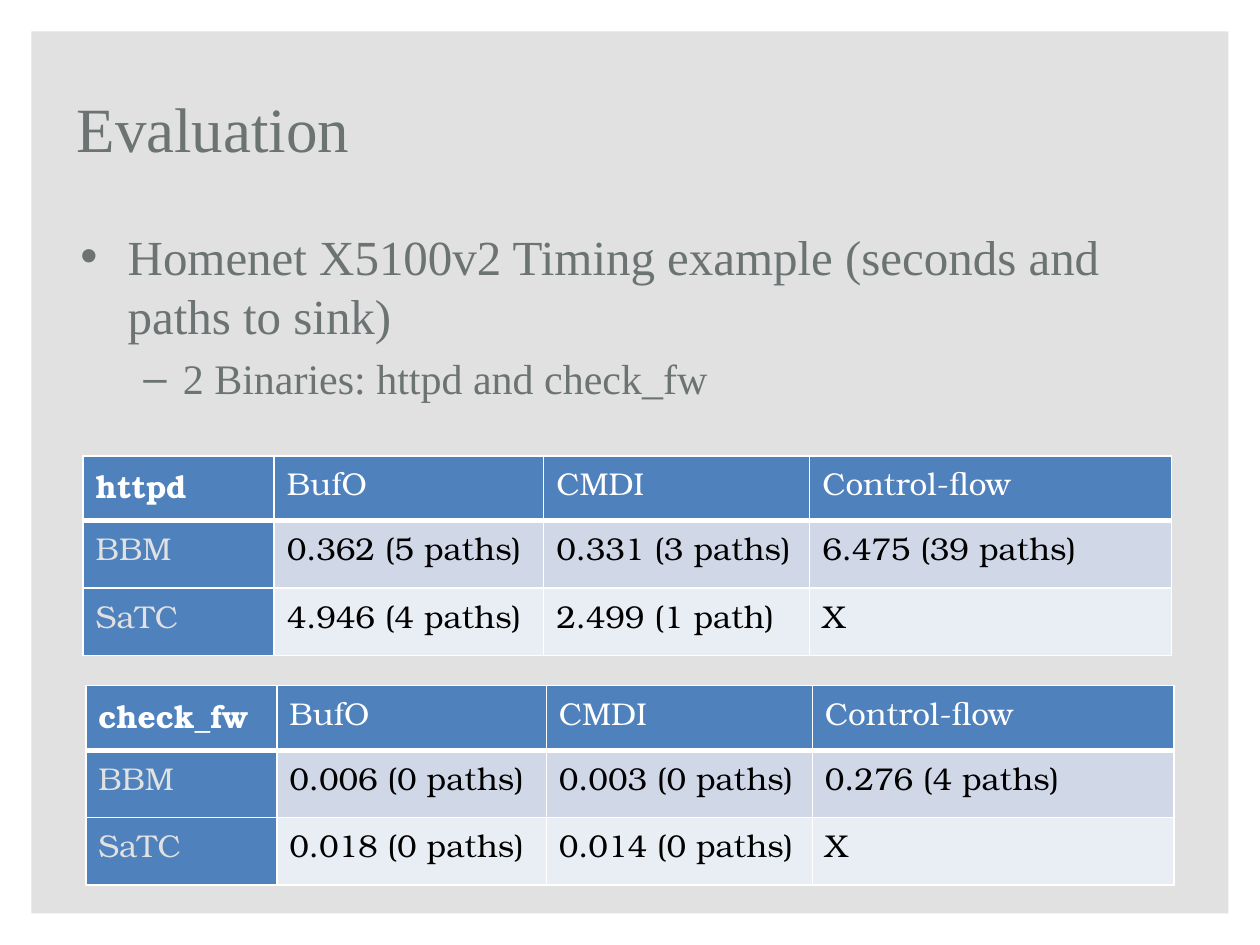
from lxml.etree import SubElement
from pptx import Presentation
from pptx.dml.color import RGBColor
from pptx.enum.shapes import MSO_SHAPE as Shape
from pptx.enum.text import MSO_ANCHOR as Anchor
from pptx.oxml.ns import qn
from pptx.util import Pt

PANEL = RGBColor(0xE1, 0xE1, 0xE1)
SLATE = RGBColor(0x6C, 0x73, 0x73)
BLUE = RGBColor(0x4F, 0x81, 0xBD)
BAND_DARK = RGBColor(0xD0, 0xD8, 0xE8)
BAND_LIGHT = RGBColor(0xE9, 0xED, 0xF4)
WHITE = RGBColor(0xFF, 0xFF, 0xFF)
BLACK = RGBColor(0, 0, 0)

SERIF = "Times New Roman"
TABLE_FONT = "TeX Gyre Bonum"
COLUMN_WIDTHS = (109.2, 154, 152, 206.8)
ROW_HEIGHTS = (37, 38.5, 38.5)
HEADINGS = ("BufO", "CMDI", "Control-flow")


def add_panel(page):
    panel = page.shapes.add_shape(Shape.RECTANGLE, Pt(18), Pt(18), Pt(684), Pt(504))
    panel.shadow.inherit = False
    panel.fill.solid()
    panel.fill.fore_color.rgb = PANEL
    panel.line.fill.background()


def add_span(para, text, font, size, color, bold=False):
    span = para.add_run()
    span.text = text
    span.font.name = font
    span.font.size = Pt(size)
    span.font.color.rgb = color
    span.font.bold = bold


def add_text_frame(page, left, top, width, height):
    box = page.shapes.add_textbox(Pt(left), Pt(top), Pt(width), Pt(height))
    box.text_frame.word_wrap = True
    return box.text_frame


def add_title(page, text):
    frame = add_text_frame(page, 36.7, 34.5, 569.5, 77)
    frame.vertical_anchor = Anchor.MIDDLE
    add_span(frame.paragraphs[0], text, SERIF, 36, SLATE)


def add_bullet(para, text, size, mark, margin, hang):
    para.space_before = Pt(size * 0.2)
    properties = para._p.get_or_add_pPr()
    properties.set("marL", str(Pt(margin)))
    properties.set("indent", str(-Pt(hang)))
    SubElement(properties, qn("a:buFont"), typeface="Arial")
    SubElement(properties, qn("a:buChar"), char=mark)
    add_span(para, text, SERIF, size, SLATE)


def add_body(page):
    frame = add_text_frame(page, 38.9, 126, 640.8, 376.6)
    add_bullet(frame.paragraphs[0],
               "Homenet X5100v2 Timing example (seconds and paths to sink)",
               28, "•", 27, 27)
    detail = frame.add_paragraph()
    detail.level = 1
    add_bullet(detail, "2 Binaries: httpd and check_fw", 24, "–", 58.5, 22.5)


def add_borders(cell, top, bottom):
    properties = cell._tc.get_or_add_tcPr()
    for side, width in (("L", 1), ("R", 1), ("T", top), ("B", bottom)):
        line = SubElement(properties, qn(f"a:ln{side}"), w=str(Pt(width)))
        fill = SubElement(line, qn("a:solidFill"))
        SubElement(fill, qn("a:srgbClr"), val=str(WHITE))


def cell_colors(row, column):
    if row == 0:
        return BLUE, WHITE
    if column == 0:
        return BLUE, PANEL
    return (BAND_DARK if row % 2 else BAND_LIGHT), BLACK


def add_timing_table(page, left, top, binary, bbm, satc):
    rows = ((binary, *HEADINGS), ("BBM", *bbm), ("SaTC", *satc))
    table = page.shapes.add_table(
        len(rows), len(COLUMN_WIDTHS), Pt(left), Pt(top),
        Pt(sum(COLUMN_WIDTHS)), Pt(sum(ROW_HEIGHTS))).table
    for column, width in zip(table.columns, COLUMN_WIDTHS):
        column.width = Pt(width)
    for row, height in zip(table.rows, ROW_HEIGHTS):
        row.height = Pt(height)
    for r, texts in enumerate(rows):
        for c, text in enumerate(texts):
            cell = table.cell(r, c)
            fill, color = cell_colors(r, c)
            add_borders(cell, 3 if r == 1 else 1, 3 if r == 0 else 1)
            cell.fill.solid()
            cell.fill.fore_color.rgb = fill
            add_span(cell.text_frame.paragraphs[0], text, TABLE_FONT, 18, color,
                     bold=r == c == 0)


def main():
    deck = Presentation()
    deck.slide_width, deck.slide_height = Pt(720), Pt(540)
    page = deck.slides.add_slide(deck.slide_layouts[6])
    add_panel(page)
    add_body(page)
    add_title(page, "Evaluation")
    add_timing_table(page, 47.5, 260.6, "httpd",
                     ("0.362 (5 paths)", "0.331 (3 paths)", "6.475 (39 paths)"),
                     ("4.946 (4 paths)", "2.499 (1 path)", "X"))
    add_timing_table(page, 49, 391.7, "check_fw",
                     ("0.006 (0 paths)", "0.003 (0 paths)", "0.276 (4 paths)"),
                     ("0.018 (0 paths)", "0.014 (0 paths)", "X"))
    deck.save("out.pptx")


if __name__ == "__main__":
    main()
